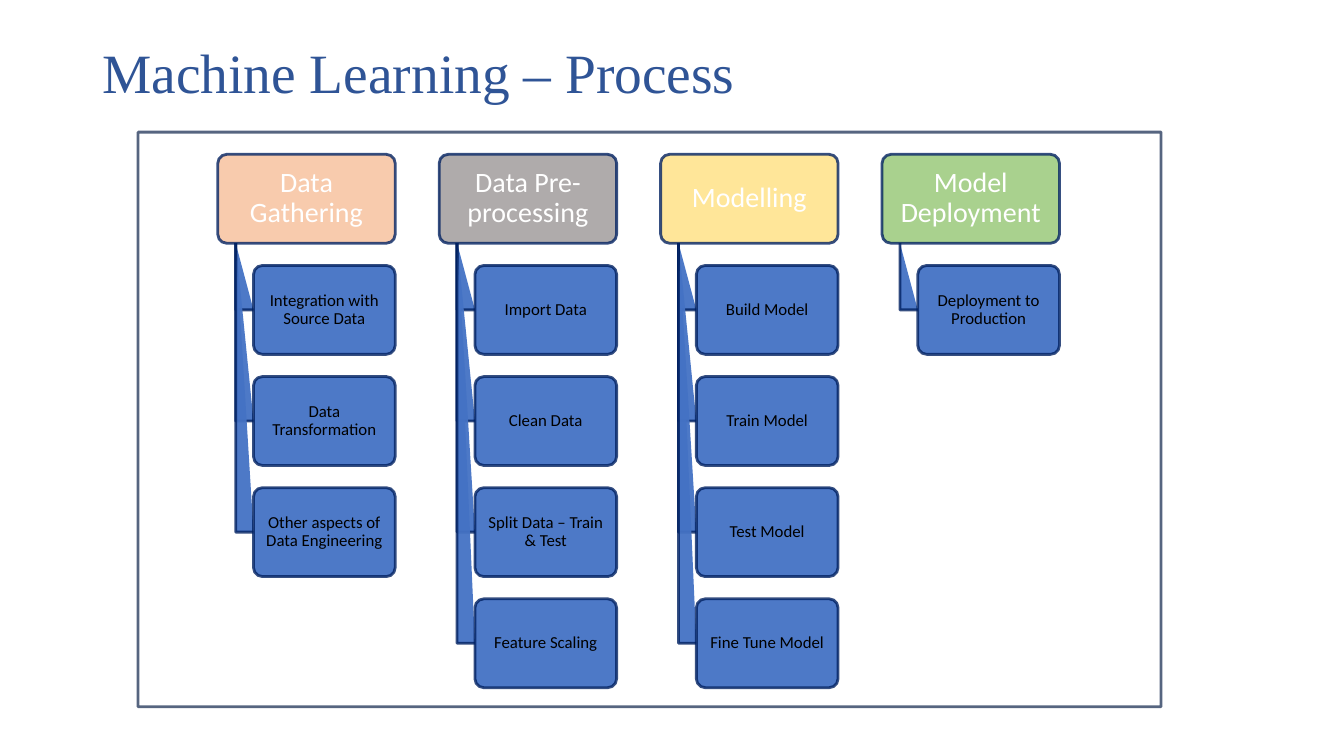
from pptx import Presentation
from pptx.dml.color import RGBColor
from pptx.enum.shapes import MSO_SHAPE
from pptx.enum.text import MSO_ANCHOR, PP_ALIGN
from pptx.oxml.ns import qn
from pptx.util import Cm, Pt
from lxml import etree

RECT = MSO_SHAPE.RECTANGLE
ROUND = MSO_SHAPE.ROUNDED_RECTANGLE
MIDDLE = MSO_ANCHOR.MIDDLE
LEFT, CENTER = PP_ALIGN.LEFT, PP_ALIGN.CENTER

COLORS = {
    "title": "2F5496", "frame": "1E3256", "edge": "002060",
    "step": "4472C4", "white": "FFFFFF", "black": "000000",
    "peach": "F8CBAD", "gray": "AFABAB", "yellow": "FFE699", "green": "A9D18E",
}

STAGES = [
    ("Data Gathering", "peach",
     ["Integration with Source Data", "Data Transformation",
      "Other aspects of Data Engineering"]),
    ("Data Pre-processing", "gray",
     ["Import Data", "Clean Data", "Split Data – Train & Test",
      "Feature Scaling"]),
    ("Modelling", "yellow",
     ["Build Model", "Train Model", "Test Model", "Fine Tune Model"]),
    ("Model Deployment", "green", ["Deployment to Production"]),
]

# Chart grid, in centimetres
X, Y = 5.49, 3.89
COL, ROW = 5.58, 2.8
WIDTH, HEIGHT = 4.47, 2.24
TRUNK, INDENT = 0.45, 0.9


def rgb(name):
    return RGBColor.from_string(COLORS[name])


def fade(part, percent):
    """Set the opacity of the solid colour inside an XML part."""
    color = next(part.iter(qn("a:srgbClr")))
    etree.SubElement(color, qn("a:alpha")).set("val", str(percent * 1000))


def paint(shape, fill, edge, solid=100, ink=78):
    """Apply fill and outline, with their opacities in percent."""
    shape.shadow.inherit = False
    shape.fill.solid()
    shape.fill.fore_color.rgb = rgb(fill)
    shape.line.color.rgb = rgb(edge)
    shape.line.width = Pt(2)
    props = shape._element.spPr
    if solid < 100:
        fade(props.find(qn("a:solidFill")), solid)
    fade(props.find(qn("a:ln")), ink)


def write(shape, text, size, color, font="Calibri", align=CENTER, pad=(0.25, 0.13)):
    frame = shape.text_frame
    frame.word_wrap = True
    frame.vertical_anchor = MIDDLE
    frame.margin_left = frame.margin_right = Cm(pad[0])
    frame.margin_top = frame.margin_bottom = Cm(pad[1])
    para = frame.paragraphs[0]
    para.alignment = align
    para.line_spacing = 0.9
    run = para.add_run()
    run.text = text
    run.font.size = Pt(size)
    run.font.name = font
    run.font.color.rgb = rgb(color)


def add_title(slide, text):
    box = slide.shapes.add_textbox(Cm(2.33), Cm(1.02), Cm(29.21), Cm(1.75))
    write(box, text, 39.6, "title", "Times New Roman", LEFT)


def add_frame(slide):
    frame = slide.shapes.add_shape(RECT, Cm(3.48), Cm(3.33), Cm(25.78), Cm(14.48))
    paint(frame, "white", "frame", ink=74)


def add_card(slide, left, top, width, fill, solid=100):
    card = slide.shapes.add_shape(ROUND, Cm(left), Cm(top), Cm(width), Cm(HEIGHT))
    card.adjustments[0] = 0.1
    paint(card, fill, "edge", solid)
    return card


def add_branch(slide, left, top, low):
    """Draw the filled elbow from a stage down to the side of a step."""
    path = slide.shapes.build_freeform(Cm(left), Cm(top))
    path.add_line_segments(
        [(Cm(left), Cm(low)), (Cm(left + INDENT - TRUNK), Cm(low))], close=False)
    paint(path.convert_to_shape(), "step", "edge", 95)


def add_stage(slide, left, name, fill, steps):
    head = add_card(slide, left, Y, WIDTH, fill)
    write(head, name, 20, "white", pad=(0.18, 0.13))
    for row, step in enumerate(steps, 1):
        top = Y + row * ROW
        add_branch(slide, left + TRUNK, Y + HEIGHT, top + HEIGHT / 2)
        card = add_card(slide, left + INDENT, top, WIDTH - INDENT, "step", 95)
        write(card, step, 12, "black", pad=(0.13, 0.1))


def main():
    deck = Presentation()
    deck.slide_width, deck.slide_height = Cm(33.87), Cm(19.05)
    slide = deck.slides.add_slide(deck.slide_layouts[6])
    add_frame(slide)
    add_title(slide, "Machine Learning – Process")
    for col, (name, fill, steps) in enumerate(STAGES):
        add_stage(slide, X + col * COL, name, fill, steps)
    deck.save("out.pptx")


if __name__ == "__main__":
    main()
